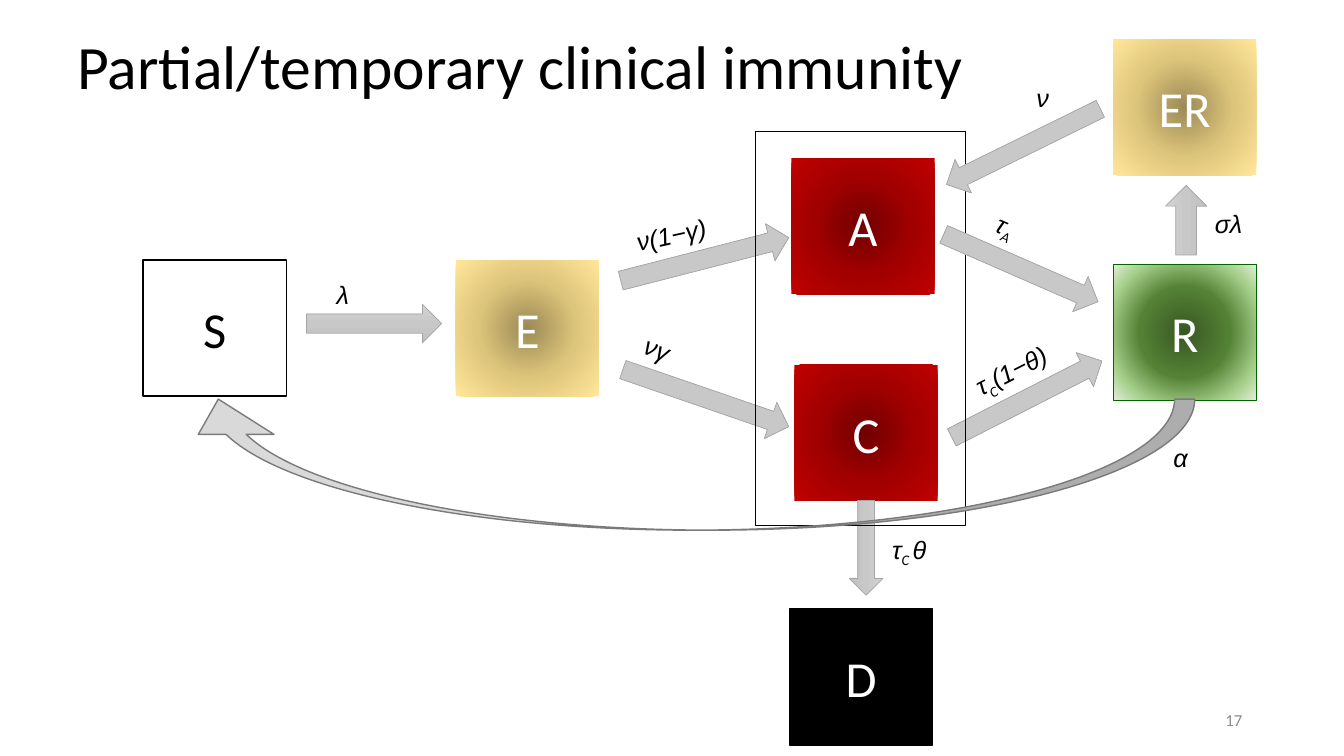
from dataclasses import dataclass
from typing import Optional

import lxml.etree
import pptx
import pptx.dml.color
import pptx.enum.shapes
import pptx.enum.text
import pptx.oxml.ns
import pptx.util

Inches, Pt = pptx.util.Inches, pptx.util.Pt
RGB = pptx.dml.color.RGBColor.from_string
qn = pptx.oxml.ns.qn
SHAPE = pptx.enum.shapes.MSO_SHAPE
ALIGN = pptx.enum.text.PP_ALIGN
MIDDLE = pptx.enum.text.MSO_ANCHOR.MIDDLE

Stops = tuple[tuple[int, str], ...]


@dataclass(frozen=True)
class Theme:
    body_font: str = "Calibri"
    symbol_font: str = "Arial"
    title_size: float = 44
    state_size: float = 36
    rate_size: float = 18
    number_size: float = 12
    black: str = "000000"
    white: str = "FFFFFF"
    number: str = "8C8C8C"
    recovered_line: str = "006600"
    arrow_line: str = "A5A5A5"
    return_fill: str = "D9D9D9"
    return_line: str = "7A7A7A"
    arrow: Stops = ((0, "D2D2D2"), (50, "C8C8C8"), (100, "C0C0C0"))
    exposed: Stops = ((0, "9C8A56"), (50, "DDC57B"), (100, "FFE699"))
    infected: Stops = ((0, "720000"), (50, "A20000"), (100, "C00000"))
    recovered: Stops = ((0, "385723"), (46, "548235"), (79, "A9D18E"), (100, "E2F0D9"))


T = Theme()
STATE_W, STATE_H = 1.42, 1.35
RATE_H = 0.4


@dataclass(frozen=True)
class State:
    name: str
    left: float
    top: float
    fill: str | Stops
    line: Optional[str] = None
    line_width: float = 1
    color: str = T.white


@dataclass(frozen=True)
class Arrow:
    left: float
    top: float
    width: float
    height: float = 0.38
    rotation: float = 0


@dataclass(frozen=True)
class Rate:
    """A rate symbol, with an optional subscript and the text that follows it."""
    left: float
    top: float
    width: float
    symbol: str
    sub: str = ""
    rest: str = ""
    rotation: float = 0


STATES = (
    State("S", 1.42, 2.58, T.white, T.black, color=T.black),
    State("E", 4.52, 2.58, T.exposed),
    State("A", 7.85, 1.57, T.infected),
    State("C", 7.88, 3.62, T.infected),
    State("D", 7.83, 6.04, T.black, T.black),
    State("R", 11.04, 2.62, T.recovered, T.recovered_line, 0.75),
    State("ER", 11.04, 0.39, T.exposed),
)
ARROWS_BEHIND_FRAME = (
    Arrow(6.13, 2.38, 1.72, rotation=345.6),
    Arrow(6.13, 3.76, 1.74, rotation=19),
    Arrow(9.35, 3.77, 1.67, rotation=333),
    Arrow(8.12, 5.27, 0.94, 0.33, 90),
)
ARROWS_OVER_FRAME = (
    Arrow(3.04, 3.02, 1.34),
    Arrow(9.29, 2.47, 1.67, rotation=23.6),
    Arrow(11.42, 1.98, 0.69, 0.41, 270),
    Arrow(9.3, 1.27, 1.7, 0.37, 153.8),
)
RATES = (
    Rate(3.24, 2.72, 1.97, "λ"),
    Rate(6.2, 2.05, 1.61, "ν(1−γ)", rotation=347.6),
    Rate(6.26, 3.46, 1.61, "νγ", rotation=20.2),
    Rate(9.75, 2.22, 1.29, "τ", "A", rotation=23.6),
    Rate(9.53, 3.4, 1.29, "τ", "C", "(1−θ)", 333),
    Rate(8.75, 5.25, 1.09, "τ", "C ", "θ"),
    Rate(10.18, 0.77, 0.82, "ν"),
    Rate(11.95, 2.02, 1.97, "σλ"),
    Rate(11.54, 4.34, 0.82, "α"),
)


def fill_gradient(sp, stops: Stops, radial: bool) -> None:
    """Fill from the centre outwards if radial, else from top to bottom."""
    sp.fill.gradient()
    grad = sp._element.spPr.find(qn("a:gradFill"))
    grad.set("rotWithShape", "1")
    for child in list(grad):
        grad.remove(child)
    stop_list = lxml.etree.SubElement(grad, qn("a:gsLst"))
    for position, color in stops:
        stop = lxml.etree.SubElement(stop_list, qn("a:gs"), pos=str(position * 1000))
        lxml.etree.SubElement(stop, qn("a:srgbClr"), val=color)
    if radial:
        circle = lxml.etree.SubElement(grad, qn("a:path"), path="circle")
        lxml.etree.SubElement(circle, qn("a:fillToRect"), l="50000", t="50000", r="50000", b="50000")
    else:
        lxml.etree.SubElement(grad, qn("a:lin"), ang="5400000", scaled="0")


def add_shape(s, kind, left: float, top: float, width: float, height: float,
              fill: str | Stops | None, line: Optional[str], line_width: float = 1,
              rotation: float = 0, radial: bool = False):
    sp = s.shapes.add_shape(kind, Inches(left), Inches(top), Inches(width), Inches(height))
    sp.shadow.inherit = False
    sp.rotation = rotation
    if fill is None:
        sp.fill.background()
    elif isinstance(fill, str):
        sp.fill.solid()
        sp.fill.fore_color.rgb = RGB(fill)
    else:
        fill_gradient(sp, fill, radial)
    if line is None:
        sp.line.fill.background()
    else:
        sp.line.color.rgb = RGB(line)
        sp.line.width = Pt(line_width)
    return sp


def set_font(font, name: str, size: float, color: str, italic: bool = False) -> None:
    font.name, font.size, font.italic = name, Pt(size), italic
    font.color.rgb = RGB(color)


def add_text_box(s, left: float, top: float, width: float, height: float):
    box = s.shapes.add_textbox(Inches(left), Inches(top), Inches(width), Inches(height))
    box.text_frame.word_wrap = True
    return box


def add_line_of_text(s, text: str, at: tuple[float, float, float, float],
                     size: float, color: str, align) -> None:
    tf = add_text_box(s, *at).text_frame
    tf.vertical_anchor = MIDDLE
    p = tf.paragraphs[0]
    p.text, p.alignment, p.line_spacing = text, align, 0.9
    set_font(p.font, T.body_font, size, color)


def add_state(s, state: State) -> None:
    sp = add_shape(s, SHAPE.RECTANGLE, state.left, state.top, STATE_W, STATE_H,
                   state.fill, state.line, state.line_width, radial=True)
    sp.text_frame.vertical_anchor = MIDDLE
    p = sp.text_frame.paragraphs[0]
    p.text, p.alignment = state.name, ALIGN.CENTER
    set_font(p.font, T.body_font, T.state_size, state.color)


def add_arrow(s, arrow: Arrow) -> None:
    add_shape(s, SHAPE.RIGHT_ARROW, arrow.left, arrow.top, arrow.width, arrow.height,
              T.arrow, T.arrow_line, 0.5, arrow.rotation)


def add_rate(s, rate: Rate) -> None:
    box = add_text_box(s, rate.left, rate.top, rate.width, RATE_H)
    box.rotation = rate.rotation
    p = box.text_frame.paragraphs[0]
    for text in filter(None, (rate.symbol, rate.sub, rate.rest)):
        r = p.add_run()
        r.text = text
        is_sub = text == rate.sub
        set_font(r.font, T.body_font if is_sub else T.symbol_font, T.rate_size, T.black, True)
        if is_sub:
            r._r.get_or_add_rPr().set("baseline", "-25000")


def main() -> None:
    prs = pptx.Presentation()
    prs.slide_width, prs.slide_height = Inches(13.33), Inches(7.5)
    s = prs.slides.add_slide(prs.slide_layouts[6])
    add_line_of_text(s, "Partial/temporary clinical immunity", (0.67, -0.04, 12.24, 1.45),
                     T.title_size, T.black, ALIGN.LEFT)
    add_line_of_text(s, "17", (9.42, 6.95, 3, 0.4), T.number_size, T.number, ALIGN.RIGHT)
    for state in STATES:
        add_state(s, state)
    for arrow in ARROWS_BEHIND_FRAME:
        add_arrow(s, arrow)
    add_shape(s, SHAPE.RECTANGLE, 7.49, 1.3, 2.09, 3.91, None, T.black, 0.75)
    for arrow in ARROWS_OVER_FRAME:
        add_arrow(s, arrow)
    return_arrow = add_shape(s, SHAPE.CURVED_LEFT_ARROW, 6.17, -0.42, 1.3, 10.06,
                             T.return_fill, T.return_line, rotation=90)
    for i, value in enumerate((0.154, 0.577, 0.269)):
        return_arrow.adjustments[i] = value
    for rate in RATES:
        add_rate(s, rate)
    prs.save("out.pptx")


if __name__ == "__main__":
    main()
